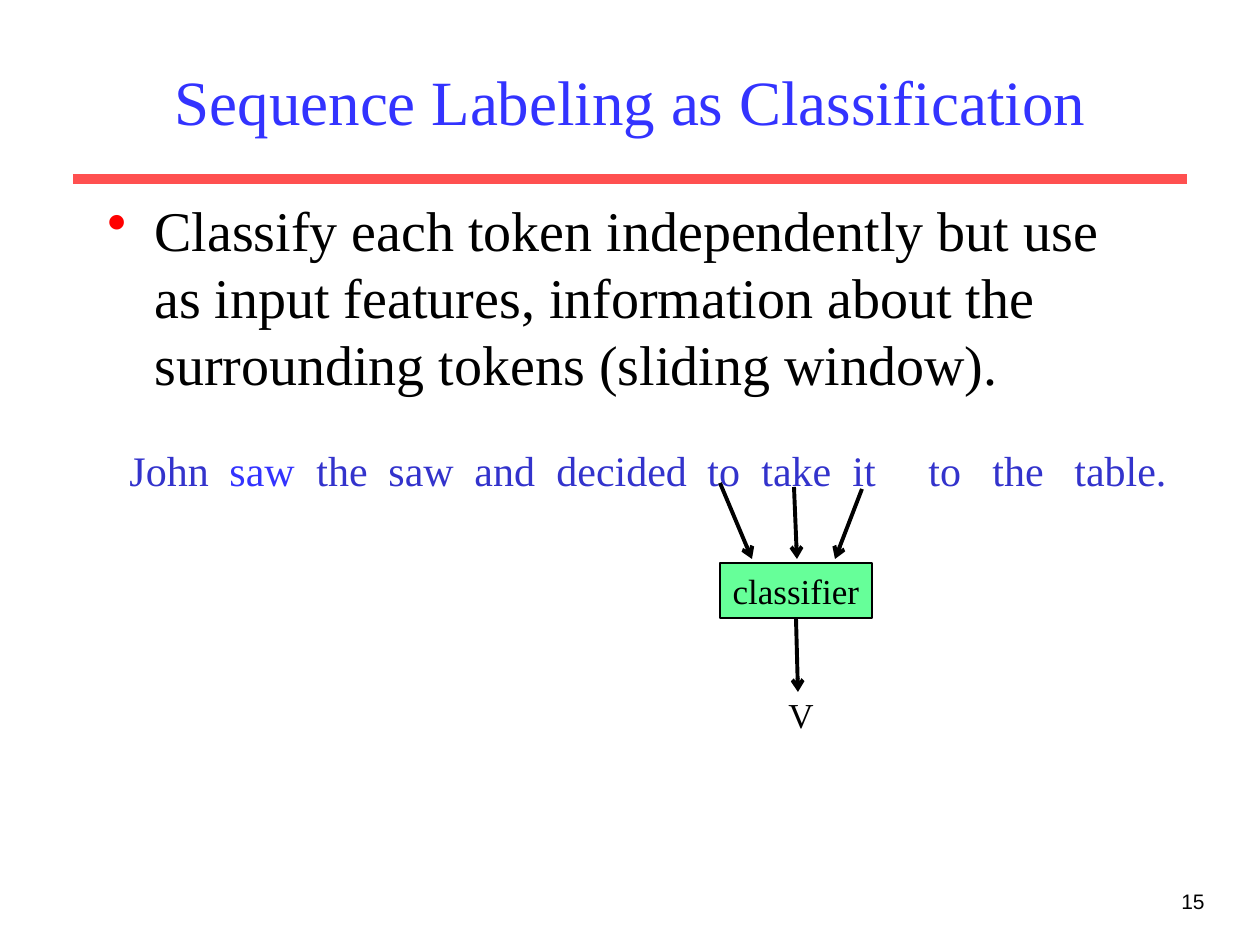
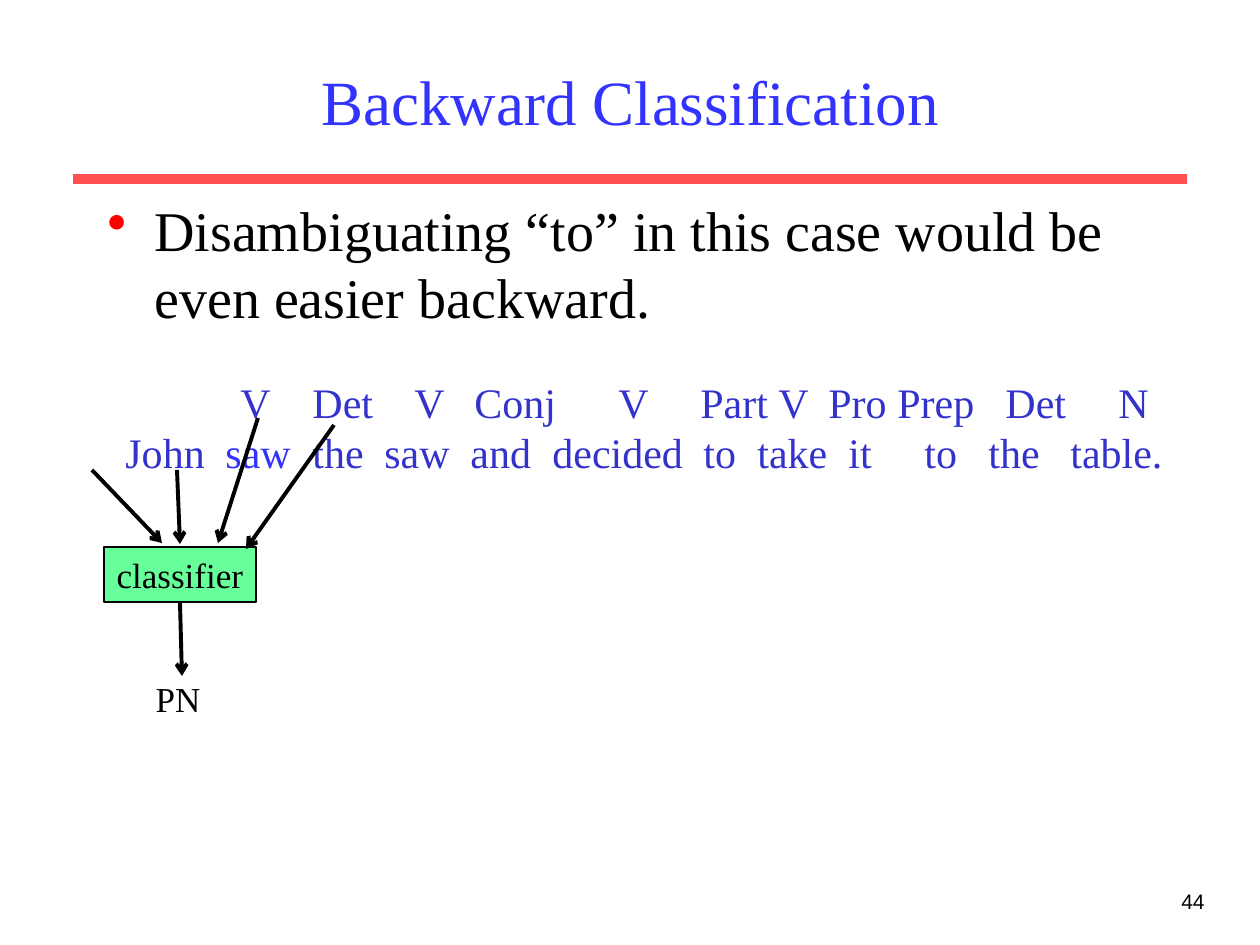
"""Builds two slides on sequence labeling with a token classifier."""
from lxml.etree import SubElement as Sub
from pptx import Presentation
from pptx.dml.color import RGBColor
from pptx.enum.shapes import MSO_CONNECTOR as LINE, MSO_SHAPE as SHAPE
from pptx.enum.text import MSO_ANCHOR as ANCHOR, PP_ALIGN as ALIGN
from pptx.oxml.ns import qn
from pptx.util import Emu, Pt

BLACK, WHITE, TITLE, TOKEN = "000000", "FFFFFF", "3333FF", "3333CC"
RULE, BULLET, BOX = "FF5050", "FF0000", "66FF99"
SERIF, SANS = "Times New Roman", "Arial"

WORDS = "John saw the saw and decided to take it to the table.".split()
WORD_TABS = [100, 187, 259, 345, 427, 578, 632, 723, 799, 863, 945]
TAGS = "V Det V Conj V Part V Pro Prep Det N".split()
TAG_TABS = [115, 187, 289, 349, 493, 575, 653, 703, 772, 880, 993]


def px(n):
    return Emu(round(n * 914400 / 126))


def rgb(color):
    return RGBColor.from_string(color)


class Deck:
    def __init__(self):
        self.prs = Presentation()
        self.prs.slide_width, self.prs.slide_height = px(1260), px(945)
        self.s = None

    def slide(self, title, number, point):
        self.s = self.prs.slides.add_slide(self.prs.slide_layouts[6])
        self.s.background.fill.solid()
        self.s.background.fill.fore_color.rgb = rgb(WHITE)
        self.line(73, 179, 1187, 179, RULE, 6)
        self.text(955, 882, 262, 63, number, 12, font=SANS, align=ALIGN.RIGHT)
        self.text(95, 32, 1071, 136, title, 36, TITLE,
                  align=ALIGN.CENTER, anchor=ANCHOR.MIDDLE)
        self.bullet(95, 189, 1071, 646, point)

    def font(self, p, size, color=None, name=SERIF):
        p.font.size, p.font.name = Pt(size), name
        if color:
            p.font.color.rgb = rgb(color)

    def box(self, x, y, w, h, anchor=ANCHOR.TOP):
        tf = self.s.shapes.add_textbox(px(x), px(y), px(w), px(h)).text_frame
        tf.word_wrap, tf.vertical_anchor = True, anchor
        return tf

    def text(self, x, y, w, h, text, size, color=BLACK, font=SERIF,
             align=ALIGN.LEFT, anchor=ANCHOR.TOP):
        p = self.box(x, y, w, h, anchor).paragraphs[0]
        p.text, p.alignment = text, align
        self.font(p, size, color, font)

    def bullet(self, x, y, w, h, text):
        p = self.box(x, y, w, h).paragraphs[0]
        p.text = text
        pPr = p._p.get_or_add_pPr()
        pPr.set("marL", str(px(47)))
        pPr.set("indent", str(-px(47)))
        Sub(Sub(pPr, qn("a:buClr")), qn("a:srgbClr"), val=BULLET)
        Sub(pPr, qn("a:buChar"), char="•")
        self.font(p, 32, BLACK)

    def tabs(self, p, stops):
        tabs = Sub(p._p.get_or_add_pPr(), qn("a:tabLst"))
        for stop in stops:
            Sub(tabs, qn("a:tab"), pos=str(px(stop)), algn="l")

    def sentence(self, x, y, tags=()):
        tf = self.box(x, y, 1080, 113 if tags else 63)
        p = tf.paragraphs[0]
        if tags:
            p.text = "\t" + "\t".join(tags)
            self.tabs(p, TAG_TABS)
            self.font(p, 24, TOKEN)
            p = tf.add_paragraph()
        self.tabs(p, WORD_TABS)
        self.font(p, 24)
        first, second, *rest = WORDS
        for text, color in ((first + "\t", TOKEN), (second, TITLE),
                            ("\t" + "\t".join(rest), TOKEN)):
            r = p.add_run()
            r.text = text
            r.font.color.rgb = rgb(color)

    def line(self, x1, y1, x2, y2, color=BLACK, width=2.25, arrow=False):
        c = self.s.shapes.add_connector(LINE.STRAIGHT, px(x1), px(y1), px(x2), px(y2))
        c.line.color.rgb, c.line.width = rgb(color), Pt(width)
        spPr = c.element.spPr
        if arrow:
            Sub(spPr.find(qn("a:ln")), qn("a:tailEnd"), type="arrow")
        Sub(spPr, qn("a:effectLst"))
        return c

    def classifier(self, x, y, label, label_mid, inputs):
        w, h = 152, 55
        sp = self.s.shapes.add_shape(SHAPE.RECTANGLE, px(x), px(y), px(w), px(h))
        sp.shadow.inherit = False
        sp.fill.solid()
        sp.fill.fore_color.rgb = rgb(BOX)
        sp.line.color.rgb, sp.line.width = rgb(BLACK), Pt(1)
        tf = sp.text_frame
        tf.word_wrap, tf.vertical_anchor = False, ANCHOR.MIDDLE
        p = tf.paragraphs[0]
        p.text, p.alignment = "classifier", ALIGN.CENTER
        self.font(p, 20, BLACK)
        for ends in inputs:
            self.line(*ends, arrow=True)
        mid = x + w // 2
        self.line(mid, y + h, mid + 2, y + 129, arrow=True).begin_connect(sp, 2)
        self.text(label_mid - 48, y + 124, 96, h, label, 20, align=ALIGN.CENTER)


def main():
    deck = Deck()

    deck.slide("Sequence Labeling as Classification", "15",
               "Classify each token independently but use as input features, "
               "information about the surrounding tokens (sliding window).")
    deck.sentence(117, 438)
    deck.classifier(720, 563, "V", 801, [
        (720, 483, 752, 559), (794, 487, 797, 559), (862, 489, 835, 559)])

    deck.slide("Backward Classification", "44",
               "Disambiguating “to” in this case would be even easier backward.")
    deck.sentence(113, 370, TAGS)
    deck.classifier(104, 547, "PN", 178, [
        (92, 470, 162, 543), (177, 470, 180, 544),
        (258, 418, 218, 543), (334, 425, 246, 549)])

    deck.prs.save("out.pptx")


if __name__ == "__main__":
    main()
